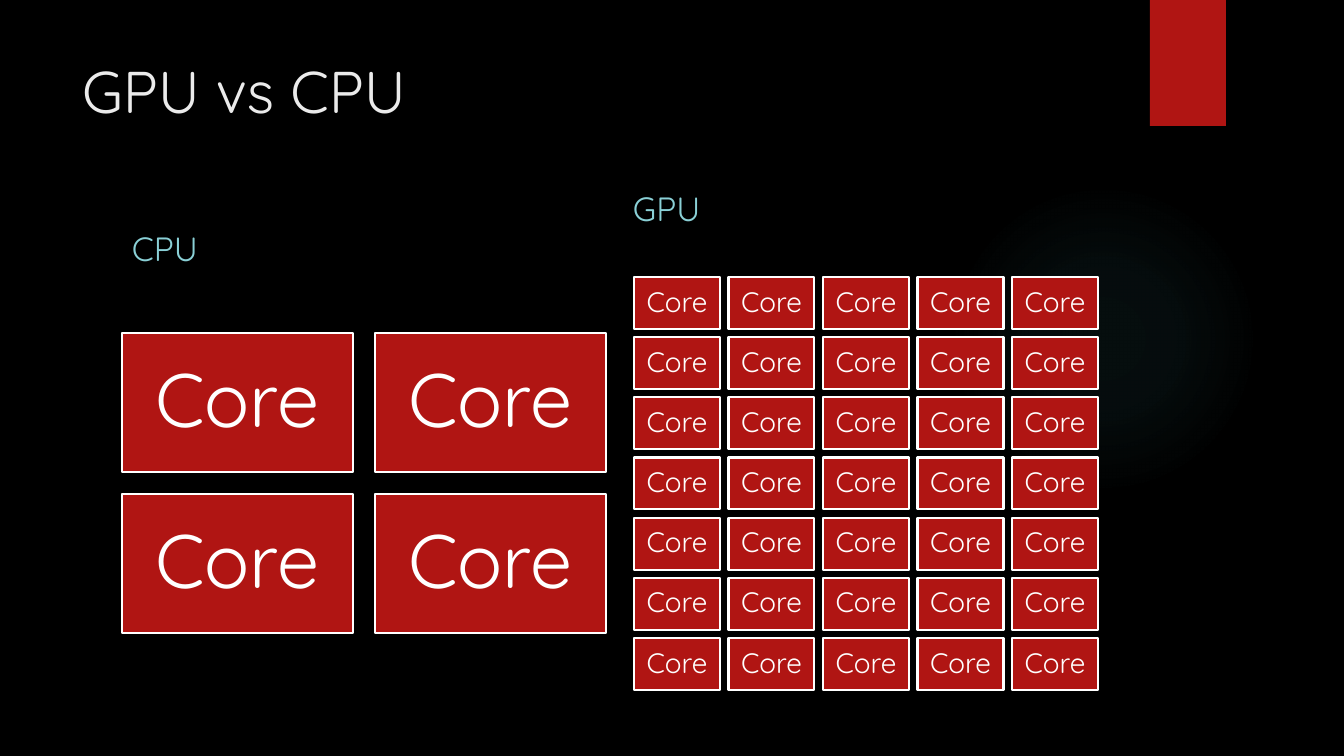
"""Build the GPU vs CPU slide: a few large cores beside many small ones."""
from lxml import etree
from pptx import Presentation
from pptx import util as u
from pptx.dml.color import RGBColor
from pptx.enum import shapes, text
from pptx.oxml import ns

PX = 914400 / 100.8
FONT = "Quicksand"
COLORS = {"back": "000000", "red": "B01513", "white": "FFFFFF",
          "title": "EBEBEB", "label": "8AD0D6", "glow": "50B9C1"}


def px(n):
    return u.Emu(round(n * PX))


def rgb(name):
    return RGBColor.from_string(COLORS[name])


def write(tf, words, size, color, anchor, align=text.PP_ALIGN.LEFT):
    tf.word_wrap = True
    tf.auto_size = text.MSO_AUTO_SIZE.NONE
    tf.vertical_anchor = anchor
    p = tf.paragraphs[0]
    p.alignment = align
    r = p.add_run()
    r.text = words
    r.font.size = u.Pt(size)
    r.font.name = FONT
    r.font.color.rgb = rgb(color)
    return p


def add_box(s, kind, x, y, w, h):
    sp = s.shapes.add_shape(kind, px(x), px(y), px(w), px(h))
    sp.shadow.inherit = False
    sp.fill.solid()
    sp.fill.fore_color.rgb = rgb("red")
    sp.line.fill.background()
    return sp


def add_glow(s, x, y, size):
    sp = add_box(s, shapes.MSO_SHAPE.OVAL, x, y, size, size)
    stops = "".join(
        f'<a:gs pos="{pos}000"><a:srgbClr val="{COLORS["glow"]}">'
        f'<a:alpha val="{alpha}000"/></a:srgbClr></a:gs>'
        for pos, alpha in ((0, 7), (36, 6), (69, 0)))
    grad = etree.fromstring(
        f'<a:gradFill {ns.nsdecls("a")}><a:gsLst>{stops}</a:gsLst>'
        '<a:path path="circle"><a:fillToRect l="50000" t="50000" r="50000" b="50000"/>'
        '</a:path></a:gradFill>')
    spPr = sp.element.spPr
    spPr.replace(spPr.find(ns.qn("a:solidFill")), grad)


def add_title(s, words):
    sp = s.shapes.title
    sp.left, sp.top, sp.width, sp.height = px(72), px(50), px(1037), px(154)
    write(sp.text_frame, words, 42, "title", text.MSO_ANCHOR.TOP)


def add_label(s, words, x, y):
    sp = s.shapes.add_textbox(px(x), px(y), px(485), px(63))
    write(sp.text_frame, words, 24, "label", text.MSO_ANCHOR.BOTTOM)


def add_core(s, x, y, w, h, size, inset):
    sp = add_box(s, shapes.MSO_SHAPE.RECTANGLE, x, y, w, h)
    sp.line.color.rgb = rgb("white")
    sp.line.width = u.Pt(1.5)
    tf = sp.text_frame
    tf.margin_left = tf.margin_right = tf.margin_top = tf.margin_bottom = px(inset)
    p = write(tf, "Core", size, "white", text.MSO_ANCHOR.MIDDLE, text.PP_ALIGN.CENTER)
    p.line_spacing = 0.9


def add_cores(s, area, cols, rows, core, size, inset):
    x, y, width, height = area
    w, h = core
    step_x = (width - w) / (cols - 1)
    step_y = (height - h) / (rows - 1)
    for row in range(rows):
        for col in range(cols):
            add_core(s, x + col * step_x, y + row * step_y, w, h, size, inset)


def main():
    prs = Presentation()
    prs.slide_width, prs.slide_height = px(1344), px(756)
    s = prs.slides.add_slide(prs.slide_layouts[5])
    s.background.fill.solid()
    s.background.fill.fore_color.rgb = rgb("back")
    add_glow(s, 949, 184, 310)
    add_box(s, shapes.MSO_SHAPE.RECTANGLE, 1150, 0, 76, 126)
    add_title(s, "GPU vs CPU")
    add_label(s, "CPU", 122, 210)
    add_label(s, "GPU", 623, 170)
    add_cores(s, (122, 333, 484, 300), 2, 2, (231, 139), 54, 23)
    add_cores(s, (634, 277, 464, 413), 5, 7, (86, 52), 20, 8)
    prs.save("out.pptx")


if __name__ == "__main__":
    main()
